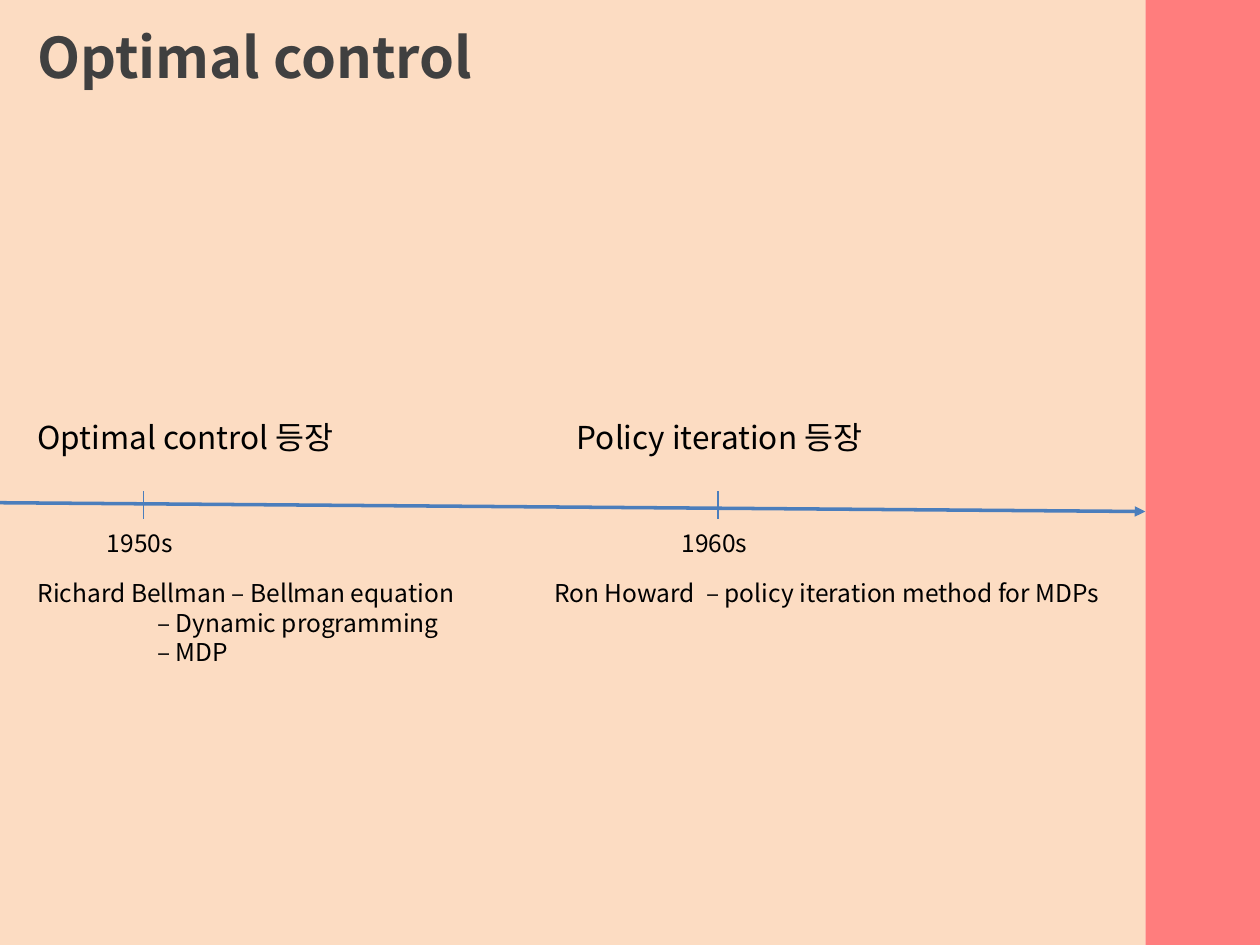
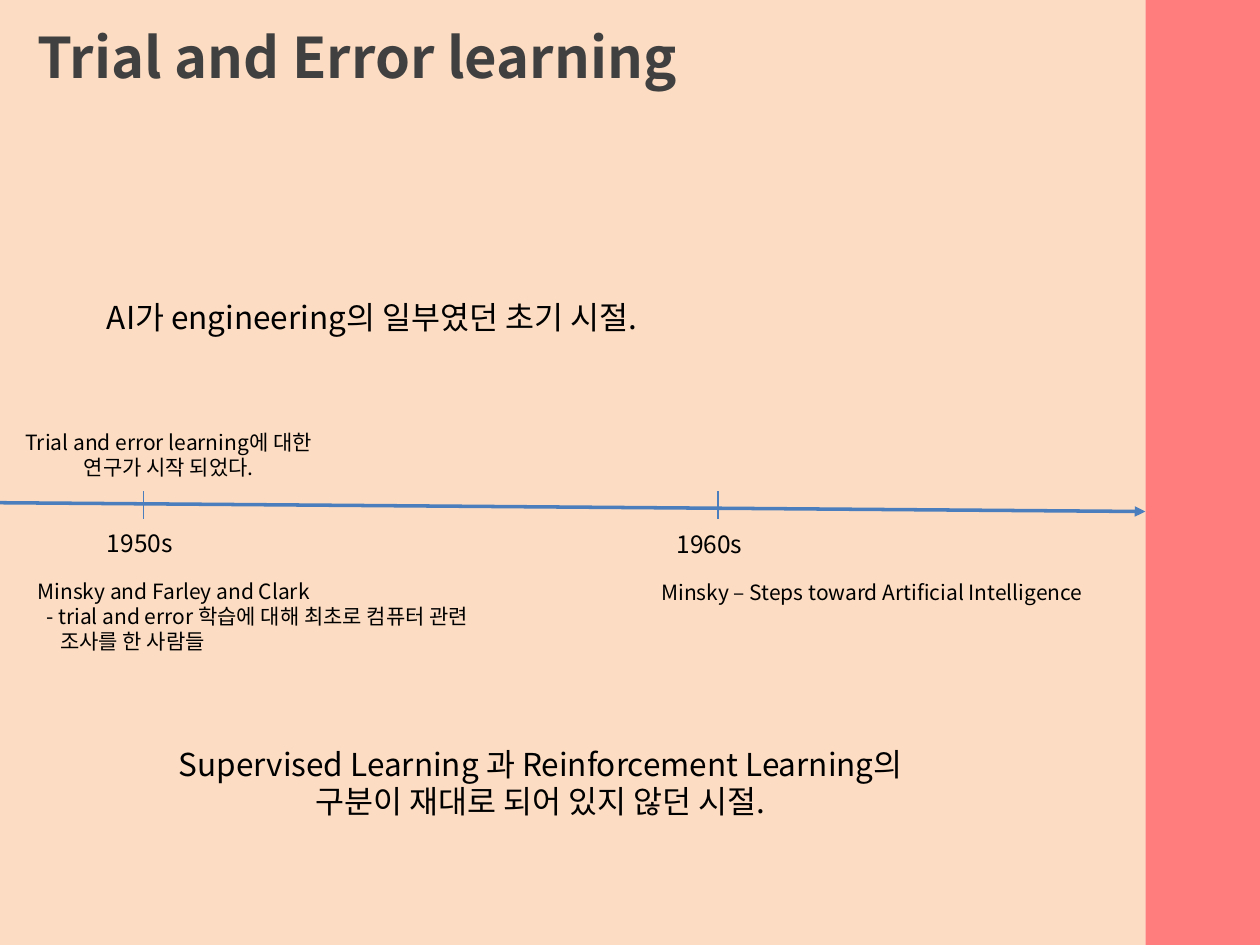
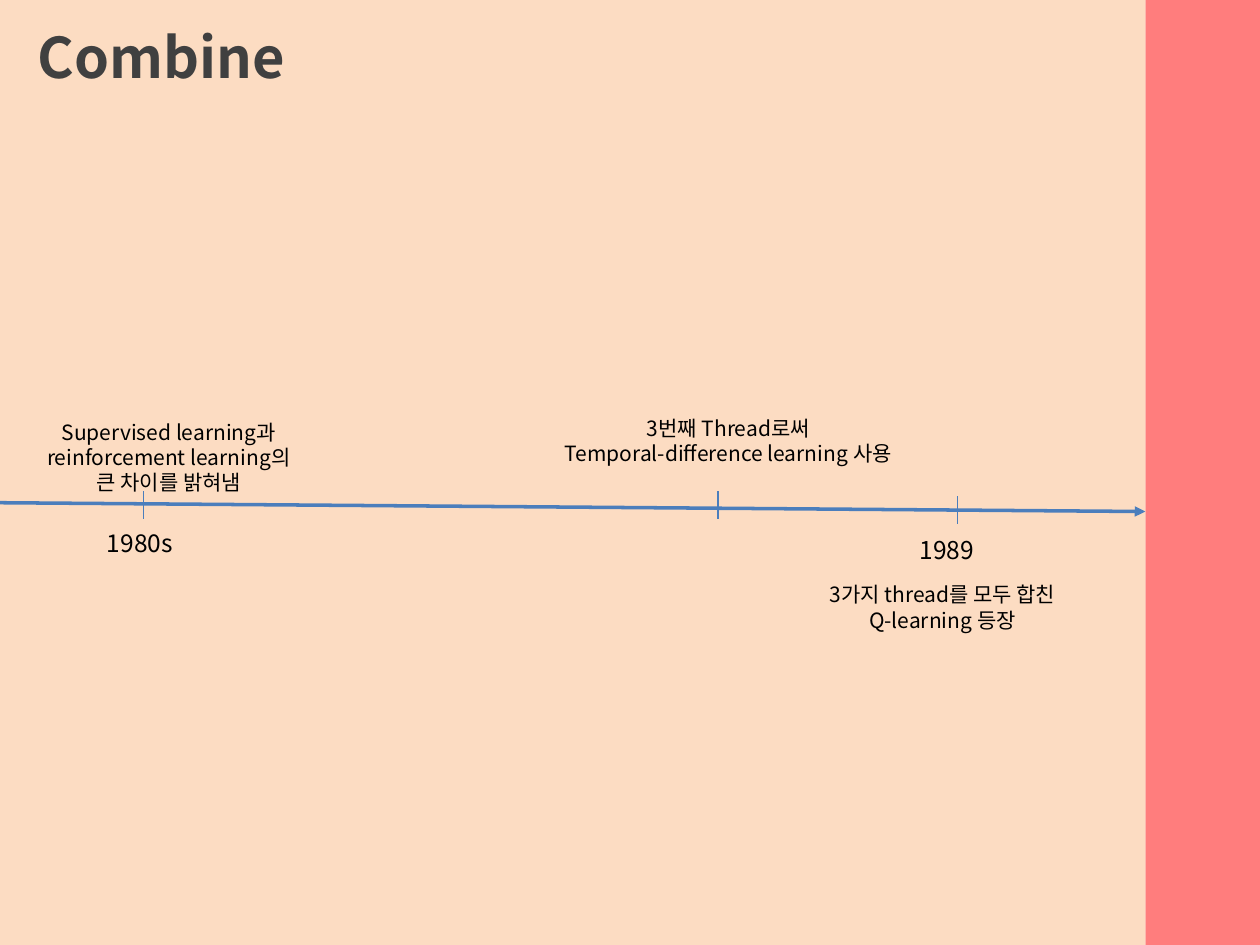
import pptx
import pptx.dml.color
import pptx.enum.shapes
import pptx.enum.text
import pptx.oxml
import pptx.oxml.ns
import pptx.util
from lxml import etree

Inches = pptx.util.Inches
Pt = pptx.util.Pt
qn = pptx.oxml.ns.qn
CENTER = pptx.enum.text.PP_ALIGN.CENTER

FONT = "Noto Sans CJK KR"
RED, PEACH, BLUE = "FF6F6F", "FCD9BC", "4B7EBC"
GREY, BLACK = "404040", "000000"
EDGE = 9.09               # where the page meets the side band
LEFT, RIGHT = 1.14, 5.7   # the two ticks every timeline has


def color(code):
    return pptx.dml.color.RGBColor.from_string(code)


class Deck:
    def __init__(self):
        self.prs = pptx.Presentation()
        self.prs.slide_width = Inches(10)
        self.prs.slide_height = Inches(7.5)
        self.slide = None

    # Page with side band, title and timeline
    def page(self, title):
        self.slide = self.prs.slides.add_slide(self.prs.slide_layouts[6])
        self.band(EDGE, 10 - EDGE, RED)
        self.band(0, EDGE, PEACH)
        self.text(0.2, 0.13, 8.5, 0.64, [title], 32, hue=GREY, bold=True)
        axis = self.line(0, 3.99, EDGE, 4.06, 2)
        etree.SubElement(axis.line._get_or_add_ln(), qn("a:tailEnd"),
                         type="triangle")
        self.tick(LEFT)
        self.tick(RIGHT)

    def band(self, left, width, hue):
        shape = self.slide.shapes.add_shape(
            pptx.enum.shapes.MSO_SHAPE.RECTANGLE,
            Inches(left), 0, Inches(width), self.prs.slide_height)
        shape.shadow.inherit = False
        shape.line.fill.background()
        shape.fill.solid()
        shape.fill.fore_color.rgb = color(hue)
        tint = shape.fill._xPr.find(".//" + qn("a:srgbClr"))
        etree.SubElement(tint, qn("a:alpha"), val="90000")

    def line(self, x1, y1, x2, y2, width):
        line = self.slide.shapes.add_connector(
            pptx.enum.shapes.MSO_CONNECTOR.STRAIGHT,
            Inches(x1), Inches(y1), Inches(x2), Inches(y2))
        line.line.color.rgb = color(BLUE)
        line.line.width = Pt(width)
        etree.SubElement(line._element.spPr, qn("a:effectLst"))
        return line

    def tick(self, x, top=3.9):
        self.line(x, top, x, top + 0.22, 1)

    def year(self, label, left, top=4.14):
        self.text(left, top, 1.42, 0.34, [label], 14)

    # Lines are strings, or (string, indent) pairs
    def text(self, left, top, width, height, lines, size, align=None,
             wrap=True, hue=BLACK, bold=False):
        box = self.slide.shapes.add_textbox(
            Inches(left), Inches(top), Inches(width), Inches(height))
        frame = box.text_frame
        frame.word_wrap = wrap
        frame.auto_size = pptx.enum.text.MSO_AUTO_SIZE.SHAPE_TO_FIT_TEXT
        for i, line in enumerate(lines):
            words, indent = line if isinstance(line, tuple) else (line, 0)
            para = frame.add_paragraph() if i else frame.paragraphs[0]
            para.text = words
            if align is not None:
                para.alignment = align
            if indent:
                para._p.get_or_add_pPr().set("marL", str(Inches(indent)))
            font = para.font
            font.size = Pt(size)
            font.bold = bold
            font.color.rgb = color(hue)
            font.name = FONT
            base = para._p.find(qn("a:pPr")).find(qn("a:defRPr"))
            etree.SubElement(base, qn("a:ea"), typeface=FONT)
        return frame


def main():
    deck = Deck()

    # Optimal control
    deck.page("Optimal control")
    deck.year("1950s", 0.75)
    deck.text(0.2, 3.27, 2.69, 0.4, ["Optimal control 등장"], 18, wrap=False)
    deck.text(0.2, 4.54, 4.41, 0.81, [
        "Richard Bellman – Bellman equation",
        ("– Dynamic programming", 0.95),
        ("– MDP", 0.95)], 14)
    deck.year("1960s", 5.31)
    deck.text(4.48, 3.27, 2.48, 0.4, ["Policy iteration 등장"], 18, wrap=False)
    deck.text(4.3, 4.54, 4.8, 0.34,
              ["Ron Howard  – policy iteration method for MDPs"], 14)

    # Trial and error
    deck.page("Trial and Error learning")
    deck.year("1950s", 0.75)
    deck.text(0, 3.36, 2.68, 0.5,
              ["Trial and error learning에 대한 연구가 시작 되었다."], 12, CENTER)
    deck.text(0.2, 4.54, 4.41, 0.71, [
        "Minsky and Farley and Clark",
        ("- trial and error 학습에 대해 최초로 컴퓨터 관련", 0.07),
        ("조사를 한 사람들", 0.18)], 12)
    deck.text(5.15, 4.55, 3.95, 0.3,
              ["Minsky – Steps toward Artificial Intelligence"], 12)
    deck.text(0.75, 2.32, 4.82, 0.4,
              ["AI가 engineering의 일부였던 초기 시절."], 18, wrap=False)
    deck.year("1960s", 5.27, 4.15)
    era = deck.text(1.32, 5.86, 6.02, 0.71, [
        "Supervised Learning 과 Reinforcement Learning의",
        "구분이 재대로 되어 있지 않던 시절."], 18, wrap=False)
    era.paragraphs[1].alignment = CENTER

    # Combine
    deck.page("Combine")
    deck.year("1980s", 0.75)
    deck.text(0, 3.28, 2.68, 0.71, [
        "Supervised learning과 reinforcement learning의",
        "큰 차이를 밝혀냄"], 12, CENTER)
    deck.text(4.36, 3.25, 2.84, 0.5, [
        "3번째 Thread로써", "Temporal-difference learning 사용"], 12, CENTER)
    deck.tick(7.6, 3.94)
    deck.year("1989", 7.2, 4.2)
    deck.text(6.06, 4.57, 2.84, 0.5, [
        "3가지 thread를 모두 합친", "Q-learning 등장"], 12, CENTER)

    deck.prs.save("out.pptx")


if __name__ == "__main__":
    main()
